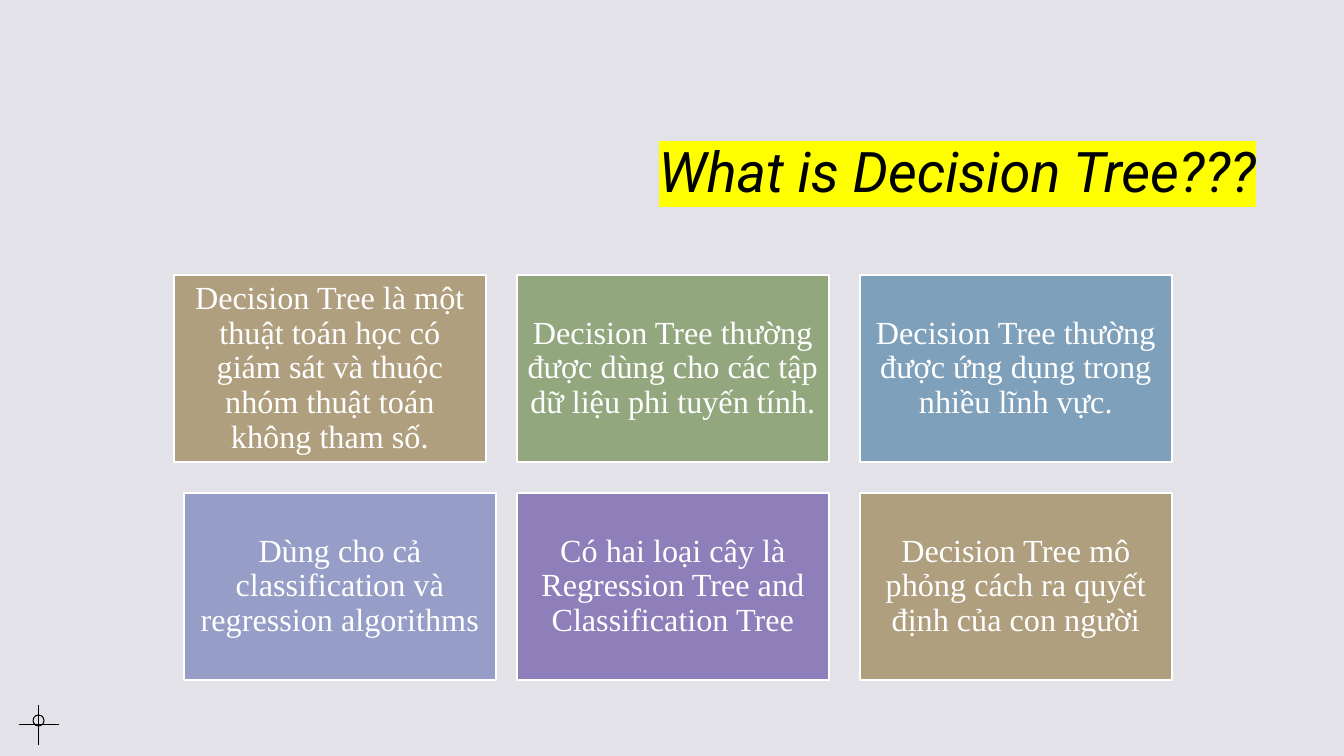
from lxml.etree import SubElement
from pptx import Presentation
from pptx.dml.color import RGBColor
from pptx.enum.shapes import MSO_CONNECTOR, MSO_SHAPE
from pptx.enum.text import MSO_ANCHOR, PP_ALIGN
from pptx.oxml.ns import qn
from pptx.util import Emu, Pt


def px(length):
    return Emu(round(length * 914400 / 100.8))


def color(value):
    return RGBColor.from_string(value)


class SlideBuilder:
    ink = "000000"
    white = "FFFFFF"
    title_font = "Roboto"
    body_font = "Times New Roman"

    def __init__(self, deck, background):
        self.page = deck.slides.add_slide(deck.slide_layouts[6])
        fill = self.page.background.fill
        fill.solid()
        fill.fore_color.rgb = color(background)

    def add_text(self, box, text, font, size, ink, align, anchor, spacing, insets):
        frame = box.text_frame
        frame.word_wrap = True
        frame.vertical_anchor = anchor
        frame.margin_left, frame.margin_top, frame.margin_right, frame.margin_bottom = map(px, insets)
        para = frame.paragraphs[0]
        para.alignment = align
        para.line_spacing = spacing
        span = para.add_run()
        span.text = text
        span.font.name = font
        span.font.size = Pt(size)
        span.font.color.rgb = color(ink)
        return span

    def title(self, text, left, top, width, height, highlight):
        box = self.page.shapes.add_textbox(px(left), px(top), px(width), px(height))
        span = self.add_text(box, text, self.title_font, 40, self.ink, PP_ALIGN.RIGHT,
                             MSO_ANCHOR.BOTTOM, 1.2, (12, 12, 12, 10))
        span.font.italic = True
        properties = span._r.get_or_add_rPr()
        marker = SubElement(properties, qn("a:highlight"))
        SubElement(marker, qn("a:srgbClr"), val=highlight)
        properties.find(qn("a:solidFill")).addnext(marker)

    def shape(self, kind, left, top, width, height, fill, line, weight):
        shape = self.page.shapes.add_shape(kind, px(left), px(top), px(width), px(height))
        shape.shadow.inherit = False
        if fill:
            shape.fill.solid()
            shape.fill.fore_color.rgb = color(fill)
        else:
            shape.fill.background()
        shape.line.color.rgb = color(line)
        shape.line.width = Pt(weight)
        return shape

    def card(self, text, left, top, width, height, fill):
        box = self.shape(MSO_SHAPE.RECTANGLE, left, top, width, height, fill, self.white, 1)
        self.add_text(box, text, self.body_font, 23, self.white, PP_ALIGN.CENTER,
                      MSO_ANCHOR.MIDDLE, 0.9, (10, 10, 10, 10))

    def circle(self, left, top, size):
        self.shape(MSO_SHAPE.OVAL, left, top, size, size, None, self.ink, 0.75)

    def line(self, x1, y1, x2, y2):
        line = self.page.shapes.add_connector(MSO_CONNECTOR.STRAIGHT, px(x1), px(y1), px(x2), px(y2))
        line.line.color.rgb = color(self.ink)
        line.line.width = Pt(0.75)
        SubElement(line._element.spPr, qn("a:effectLst"))


CARDS = [
    ("Decision Tree là một thuật toán học có giám sát và thuộc nhóm thuật toán không tham số.", "AF9F7E"),
    ("Decision Tree thường được dùng cho các tập dữ liệu phi tuyến tính.", "93A77F"),
    ("Decision Tree thường được ứng dụng trong nhiều lĩnh vực.", "7FA0BA"),
    ("Dùng cho cả classification và regression algorithms", "969DC6"),
    ("Có hai loại cây là Regression Tree and Classification Tree", "8E7FBA"),
    ("Decision Tree mô phỏng cách ra quyết định của con người", "AF9F7E"),
]
SHIFTED_CARD = 3


def main():
    deck = Presentation()
    deck.slide_width = px(1344)
    deck.slide_height = px(756)
    slide = SlideBuilder(deck, "E2E2E8")
    slide.title("What is Decision Tree???", 134, 40, 1134, 174, "FFFF00")
    slide.line(19, 725, 59, 725)
    slide.line(39, 745, 39, 705)
    slide.circle(33, 715, 11)
    for index, (text, fill) in enumerate(CARDS):
        row, column = divmod(index, 3)
        shift = 10 if index == SHIFTED_CARD else 0
        slide.card(text, 174 + 343 * column + shift, 275 + 218 * row, 312, 187, fill)
    deck.save("out.pptx")


if __name__ == "__main__":
    main()
